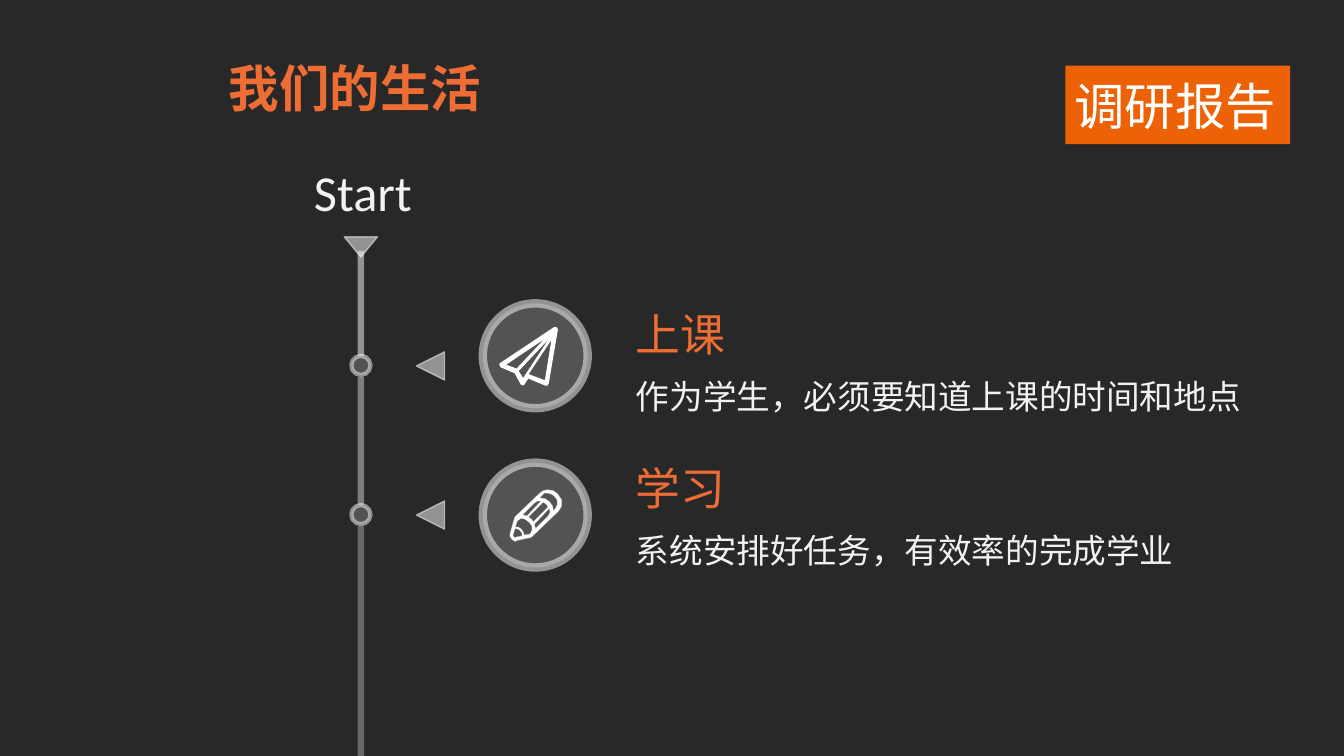
from dataclasses import dataclass
from lxml.etree import SubElement
from pptx import Presentation
from pptx.dml.color import RGBColor
from pptx.enum.shapes import MSO_CONNECTOR, MSO_SHAPE
from pptx.enum.text import MSO_ANCHOR, MSO_AUTO_SIZE, PP_ALIGN
from pptx.oxml.ns import qn
from pptx.util import Inches, Pt

CELL = Inches(0.1)
COLUMNS, ROWS = 133.33, 75
WHITE, PALE, ORANGE = "FFFFFF", "F2F2F2", "EE6D34"
CJK, LATIN = "Noto Sans CJK SC", "Calibri"

HEADING = {"size": Pt(32), "name": CJK, "color": ORANGE}
DETAIL = {"size": Pt(24), "name": CJK, "color": PALE}
START = {"size": Pt(36), "name": LATIN, "color": PALE}
TITLE = {"size": Pt(36), "name": CJK, "color": ORANGE, "bold": True}
TAG = {"size": Pt(36), "name": CJK, "color": WHITE}

PLANE = [
    [(56, 0), (54, 0), (0, 36), (0, 37), (1, 39), (15, 45), (21, 56), (23, 57),
     (24, 56), (28, 50), (45, 57), (47, 57), (48, 55), (57, 2)],
    [(5, 37), (47, 9), (17, 41), (16, 41)],
    [(18, 43), (52, 7), (23, 51)],
    [(45, 53), (29, 47), (28, 46), (52, 10)],
]
PENCIL = [
    [(47, 4), (43, 1), (37, 0), (33, 1), (30, 3), (5, 27), (4, 30), (0, 44),
     (0, 46), (2, 49), (5, 51), (7, 50), (21, 47), (23, 45), (48, 21), (51, 16), (51, 10)],
    [(45, 19), (43, 21), (42, 16), (39, 12), (35, 9), (29, 8), (32, 5), (34, 3),
     (37, 3), (41, 4), (44, 6), (47, 10), (47, 15)],
    [(14, 45), (13, 42), (11, 39), (8, 37), (5, 37), (7, 31), (8, 30), (11, 28),
     (15, 29), (19, 32), (22, 36), (22, 40), (20, 44)],
    [(6, 47), (5, 48), (3, 46), (3, 44), (5, 38), (8, 39), (10, 40), (12, 43), (12, 46)],
    [(17, 26), (12, 25), (24, 13), (27, 11), (31, 11)],
    [(23, 32), (21, 29), (18, 27), (33, 12), (36, 14), (38, 17)],
    [(25, 38), (24, 34), (39, 18), (40, 22), (38, 26), (25, 39)],
]
TOPICS = [
    ("上课", "作为学生，必须要知道上课的时间和地点", PLANE, (1.7, 2.4), 100),
    ("学习", "系统安排好任务，有效率的完成学业", PENCIL, (2.7, 2.7), 50),
]


@dataclass
class Box:
    left: float
    top: float
    width: float
    height: float

    def inner(self, left, top, width, height):
        return Box(self.left + left, self.top + top, width, height)

    def emu(self):
        return [cells(n) for n in (self.left, self.top, self.width, self.height)]


def cells(count):
    return int(round(count * CELL))


def color(value):
    return RGBColor.from_string(value)


def fade(shape, tag, opacity):
    holder = shape._element.spPr.find(qn(tag))
    SubElement(next(holder.iter(qn("a:srgbClr"))), qn("a:alpha"), val=str(opacity * 1000))


def outline(shape, width, opacity):
    shape.line.width = Pt(width)
    shape.line.color.rgb = color(WHITE)
    fade(shape, "a:ln", opacity)


def glass(page, kind, box, fill, width, rotation=0):
    shape = page.shapes.add_shape(kind, *box.emu())
    shape.rotation = rotation
    shape.shadow.inherit = False
    shape.fill.solid()
    shape.fill.fore_color.rgb = color(WHITE)
    fade(shape, "a:solidFill", fill)
    outline(shape, width, 50)


def write(shape, text, look, align=PP_ALIGN.LEFT, margin=1):
    frame = shape.text_frame
    layout = {"word_wrap": False, "auto_size": MSO_AUTO_SIZE.NONE,
              "vertical_anchor": MSO_ANCHOR.MIDDLE,
              "margin_left": cells(margin), "margin_right": cells(1)}
    for key, value in layout.items():
        setattr(frame, key, value)
    para = frame.paragraphs[0]
    para.alignment = align
    span = para.add_run()
    span.text = text
    for key, value in look.items():
        if key == "color":
            span.font.color.rgb = color(value)
        else:
            setattr(span.font, key, value)
    SubElement(span._r.get_or_add_rPr(), qn("a:ea"), typeface=look["name"])


def label(page, box, text, look, align=PP_ALIGN.LEFT):
    write(page.shapes.add_textbox(*box.emu()), text, look, align)


def rail(page, x, top, bottom, opacity):
    line = page.shapes.add_connector(
        MSO_CONNECTOR.STRAIGHT, *[cells(n) for n in (x, top, x, bottom)])
    outline(line, 4.5, opacity)
    SubElement(line._element.spPr, qn("a:effectLst"))


def icon(page, box, contours, opacity):
    builder = None
    for first, *rest in contours:
        if builder is None:
            builder = page.shapes.build_freeform(*first, scale=CELL / 10)
        else:
            builder.move_to(*first)
        builder.add_line_segments(rest, close=True)
    shape = builder.convert_to_shape(*box.emu()[:2])
    shape.shadow.inherit = False
    shape.fill.solid()
    shape.fill.fore_color.rgb = color(WHITE)
    outline(shape, 0.75, opacity)


def header(page, box):
    title = page.shapes.title
    title.left, title.top, title.width, title.height = box.inner(0, 0, 29.6, 7.1).emu()
    write(title, "我们的生活", TITLE)
    tag = page.shapes.add_shape(MSO_SHAPE.RECTANGLE, *box.inner(84, 1.4, 22.3, 7.8).emu())
    tag.shadow.inherit = False
    tag.fill.solid()
    tag.fill.fore_color.rgb = color("ED6206")
    tag.line.fill.background()
    write(tag, "调研报告", TAG, margin=0.9)


def timeline(page, box, stops):
    label(page, box.inner(0, 0, 11.8, 7.1), "Start", START, PP_ALIGN.CENTER)
    dot, pitch, first, axis = 1.9, 14.8, 19.9, 5.7
    x = box.left + axis
    tops = [first + pitch * n for n in range(stops)]
    starts = [9.5] + [top + dot + 0.2 for top in tops]
    ends = tops + [box.height]
    for start, end, opacity in zip(starts, ends, (50, 40, 30)):
        rail(page, x, box.top + start, box.top + end, opacity)
    glass(page, MSO_SHAPE.ISOSCELES_TRIANGLE,
          box.inner(axis - 1.65, 8.1, 3.3, 2), 50, 1, 180)
    for top in tops:
        glass(page, MSO_SHAPE.OVAL, box.inner(axis - dot / 2, top, dot, dot), 20, 3)
        glass(page, MSO_SHAPE.FLOWCHART_EXTRACT,
              box.inner(11.2, top - 0.4, 2.8, 2.8), 50, 1, 270)


def medallion(page, box, contours, offset, opacity):
    glass(page, MSO_SHAPE.OVAL, box, 20, 6)
    icon(page, box.inner(*offset, 0, 0), contours, opacity)


def topic(page, box, heading, detail):
    for text, look, top, height in ((heading, HEADING, 0, 6.4), (detail, DETAIL, 6.9, 5)):
        width = len(text) * look["size"] / CELL + 2.1
        label(page, box.inner(0, top, width, height), text, look)


def main():
    deck = Presentation()
    deck.slide_width, deck.slide_height = cells(COLUMNS), cells(ROWS)
    page = deck.slides.add_slide(deck.slide_layouts[5])
    page.background.fill.solid()
    page.background.fill.fore_color.rgb = color("282828")
    header(page, Box(21.7, 5.1, 106.3, 9.2))
    timeline(page, Box(30.1, 15.4, 14, ROWS - 15.4), len(TOPICS))
    for row, (heading, detail, contours, offset, opacity) in enumerate(TOPICS):
        medallion(page, Box(47.9, 30.1 + 15.8 * row, 10.4, 10.4), contours, offset, opacity)
        topic(page, Box(62.1, 29.9 + 15.3 * row, 62.6, 11.9), heading, detail)
    deck.save("out.pptx")


if __name__ == "__main__":
    main()
